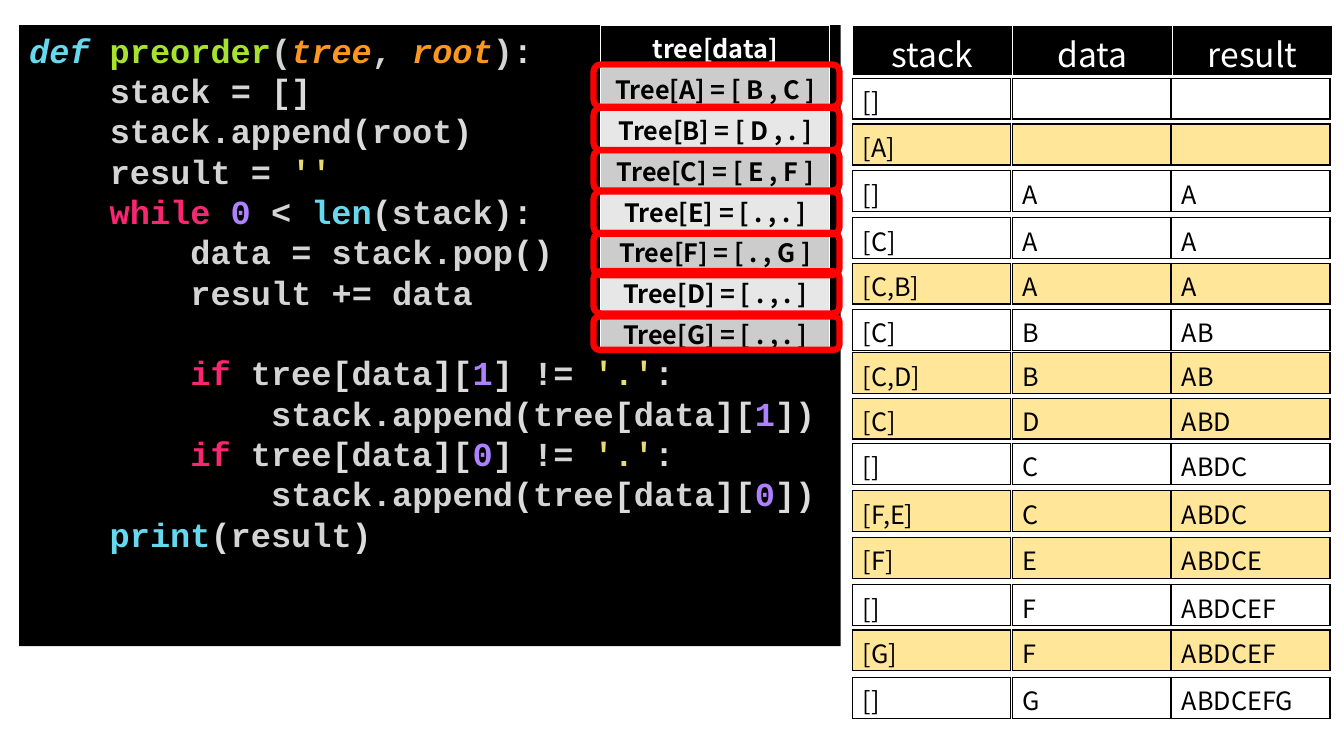
"""Build a slide tracing a preorder traversal: code, tree and stack states."""
from pptx import Presentation
from pptx.dml.color import RGBColor
from pptx.enum.shapes import MSO_SHAPE as Shape
from pptx.enum.text import MSO_ANCHOR as Anchor, PP_ALIGN as Align
from pptx.oxml import parse_xml
from pptx.oxml.ns import nsdecls
from pptx.util import Pt

COLORS = {
    "black": "000000", "white": "FFFFFF", "red": "FF0000", "highlight": "FFE699",
    "dark band": "CCCCCC", "light band": "E7E7E7",
    "name": "D4D4D4", "mark": "DCDCDC", "builtin": "66D9EF", "function": "A6E22E",
    "argument": "FD971F", "string": "E6DB74", "keyword": "F92672", "number": "AE81FF",
}
CODE_FONT, TABLE_FONT = "Courier New", "Noto Sans CJK KR"


def child_lines(index):
    """Return the two code lines that push one child of a node."""
    lookup = [("name", "tree"), ("mark", "["), ("name", "data"), ("mark", "]["), ("number", index)]
    test = [("keyword", "if"), ("name", " "), *lookup, ("mark", "]"),
            ("name", " != "), ("string", "'.'"), ("mark", ":")]
    push = [("name", "stack.append"), ("mark", "("), *lookup, ("mark", "])")]
    return [(2, test), (3, push)]


CODE = [
    (0, [("builtin", "def "), ("function", "preorder"), ("name", "("), ("argument", "tree"),
         ("name", ", "), ("argument", "root"), ("name", ")"), ("mark", ":")]),
    (1, [("name", "stack = "), ("mark", "[]")]),
    (1, [("name", "stack.append"), ("mark", "("), ("name", "root"), ("mark", ")")]),
    (1, [("name", "result = "), ("string", "''")]),
    (1, [("keyword", "while "), ("number", "0"), ("name", " < "), ("builtin", "len"),
         ("mark", "("), ("name", "stack"), ("mark", "):")]),
    (2, [("name", "data = stack.pop"), ("mark", "()")]),
    (2, [("name", "result += data")]),
    *child_lines("1"),
    *child_lines("0"),
    (1, [("builtin", "print"), ("mark", "("), ("name", "result"), ("mark", ")")]),
]
FIRST_CHILD_TEST = 7
ITALIC = ("def ", "tree", "root")

TREE = ["Tree[A] = [ B , C ]", "Tree[B] = [ D , . ]", "Tree[C] = [ E , F ]",
        "Tree[E] = [ . , . ]", "Tree[F] = [ . , G ]", "Tree[D] = [ . , . ]",
        "Tree[G] = [ . , . ]"]
RINGS = [(46.1, 30.2), (77, 30.2), (107.3, 28.8), (136.8, 30.2),
         (166.3, 30.2), (193.7, 30.2), (226.1, 23.8)]

HEADINGS = ["stack", "data", "result"]
STATES = [
    (55.8, False, ("[]", "", "")), (88.6, True, ("[A]", "", "")),
    (122, False, ("[]", "A", "A")), (155.5, False, ("[C]", "A", "A")),
    (188, True, ("[C,B]", "A", "A")), (221, False, ("[C]", "B", "AB")),
    (252, True, ("[C,D]", "B", "AB")), (284.4, True, ("[C]", "D", "ABD")),
    (316.8, False, ("[]", "C", "ABDC")), (350.6, True, ("[F,E]", "C", "ABDC")),
    (383.8, True, ("[F]", "E", "ABDCE")), (417.6, False, ("[]", "F", "ABDCEF")),
    (450, True, ("[G]", "F", "ABDCEF")), (483.8, False, ("[]", "G", "ABDCEFG")),
]
STATE_LEFT, STATE_PITCH, STATE_WIDTH = 609, 114, 113
ROW_HEIGHT, HEADER_HEIGHT = 29.2, 37.2


def rgb(key):
    return RGBColor.from_string(COLORS[key])


def add_span(para, text, font, size, color, bold=False, italic=False):
    span = para.add_run()
    span.text = text
    span.font.name, span.font.size = font, Pt(size)
    span.font.bold, span.font.italic = bold, italic
    span.font.color.rgb = rgb(color)


def add_grid(page, left, top, width, heights, columns=1):
    frame = page.shapes.add_table(len(heights), columns, Pt(left), Pt(top),
                                  Pt(width), Pt(sum(heights)))
    table = frame.table
    table.first_row = table.horz_banding = False
    for row, height in zip(table.rows, heights):
        row.height = Pt(height)
    return table


def fill_cell(cell, text, size, color, fill, border, bottom=1, align=Align.LEFT, bold=False):
    cell.margin_top, cell.margin_bottom = Pt(2.4 if size > 18 else 3), Pt(0)
    para = cell.text_frame.paragraphs[0]
    para.alignment = align
    if text:
        add_span(para, text, TABLE_FONT, size, color, bold)
    if fill:
        cell.fill.solid()
        cell.fill.fore_color.rgb = rgb(fill)
    else:
        cell.fill.background()
    properties = cell._tc.get_or_add_tcPr()
    for place, side in enumerate("LRTB"):
        weight = Pt(bottom if side == "B" else 1)
        properties.insert(place, parse_xml(
            f'<a:ln{side} {nsdecls("a")} w="{weight}"><a:solidFill>'
            f'<a:srgbClr val="{COLORS[border]}"/></a:solidFill></a:ln{side}>'))


def add_code(page):
    box = page.shapes.add_shape(Shape.RECTANGLE, Pt(13.7), Pt(18), Pt(586.8), Pt(443.5))
    box.shadow.inherit = False
    box.fill.solid()
    box.fill.fore_color.rgb = rgb("black")
    box.line.fill.background()
    frame = box.text_frame
    frame.word_wrap = True
    frame.vertical_anchor = Anchor.TOP
    frame.margin_top = Pt(3.2)
    for number, (level, spans) in enumerate(CODE):
        para = frame.add_paragraph() if number else frame.paragraphs[0]
        para.alignment = Align.LEFT
        para.line_spacing = Pt(28.8)
        if number == FIRST_CHILD_TEST:
            para.add_line_break()
        if level:
            spans = [("name", "    " * level), *spans]
        for color, text in spans:
            add_span(para, text.replace(" ", "\u00a0"), CODE_FONT, 24, color, True,
                     number == 0 and text in ITALIC)


def add_states(page):
    header = add_grid(page, STATE_LEFT, 18, 343, [HEADER_HEIGHT], len(HEADINGS))
    for cell, heading in zip(header.rows[0].cells, HEADINGS):
        fill_cell(cell, heading, 24, "white", "black", "white", 3, Align.CENTER)
    for top, marked, values in STATES:
        for column, value in enumerate(values):
            left = STATE_LEFT + column * STATE_PITCH
            table = add_grid(page, left, top, STATE_WIDTH, [ROW_HEIGHT])
            fill_cell(table.cell(0, 0), value, 18, "black",
                      "highlight" if marked else None, "black")


def add_tree(page):
    table = add_grid(page, 429.2, 18, 163.4, [ROW_HEIGHT] * (len(TREE) + 1))
    fill_cell(table.cell(0, 0), "tree[data]", 18, "white", "black", "white", 3,
              Align.CENTER, True)
    for row, text in enumerate(TREE, 1):
        fill_cell(table.cell(row, 0), text, 18, "black",
                  "dark band" if row % 2 else "light band", "white", 1, Align.CENTER, True)
    for top, height in RINGS:
        ring = page.shapes.add_shape(Shape.ROUNDED_RECTANGLE, Pt(424), Pt(top),
                                     Pt(175.7), Pt(height))
        ring.shadow.inherit = False
        ring.fill.background()
        ring.line.color.rgb = rgb("red")
        ring.line.width = Pt(4.5)


deck = Presentation()
deck.slide_width, deck.slide_height = Pt(960), Pt(540)
page = deck.slides.add_slide(deck.slide_layouts[6])
add_code(page)
add_states(page)
add_tree(page)
deck.save("out.pptx")
